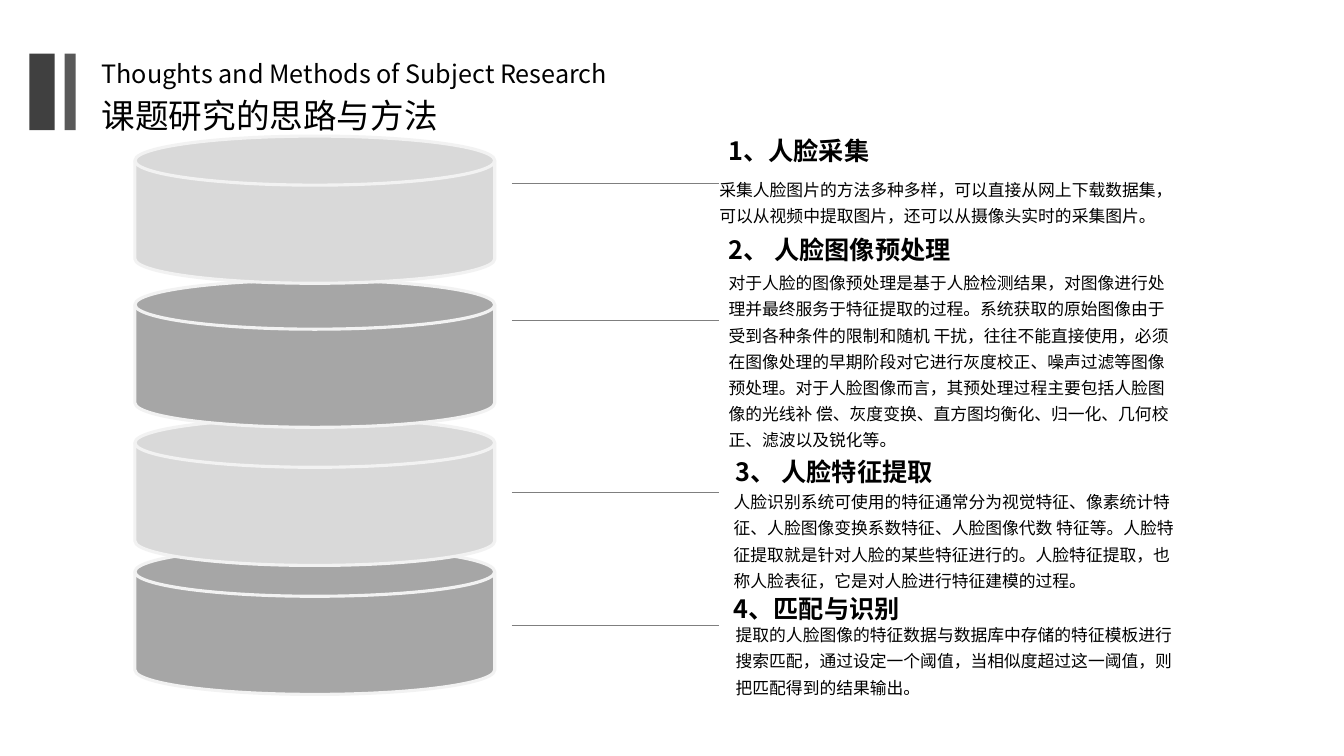
from dataclasses import dataclass

from lxml.etree import SubElement
from pptx import Presentation
from pptx.dml.color import RGBColor
from pptx.enum.shapes import MSO_CONNECTOR, MSO_SHAPE
from pptx.enum.text import MSO_ANCHOR, MSO_AUTO_SIZE, PP_ALIGN
from pptx.oxml.ns import qn
from pptx.shapes.autoshape import Shape
from pptx.slide import Slide
from pptx.util import Cm, Pt

CJK_FONT = "Noto Sans CJK SC"
BLACK = "000000"
DISK_LEFT, DISK_WIDTH, DISK_HEIGHT = 3.4, 9.07, 3.71
LINE_START, LINE_END = 12.9, 18.11
HEADING_HEIGHT, BODY_WIDTH = 1.8, 11.91


@dataclass(frozen=True)
class Box:
    left: float
    top: float
    width: float
    height: float


@dataclass(frozen=True)
class Step:
    heading: str
    heading_box: Box
    body: str
    body_box: Box
    disk_top: float
    disk_fill: str
    line_top: float
    body_font: str = CJK_FONT


STEPS = [
    Step(
        "1、人脸采集",
        Box(18.11, 3.28, 7.06, HEADING_HEIGHT),
        "采集人脸图片的方法多种多样，可以直接从网上下载数据集，可以从视频中提取图片，"
        "还可以从摄像头实时的采集图片。",
        Box(17.88, 4.24, BODY_WIDTH, 1.57),
        3.43, "D9D9D9", 4.62,
    ),
    Step(
        "2、 人脸图像预处理",
        Box(18.11, 5.79, 8.56, HEADING_HEIGHT),
        "对于人脸的图像预处理是基于人脸检测结果，对图像进行处理并最终服务于特征提取的过程。"
        "系统获取的原始图像由于受到各种条件的限制和随机 干扰，往往不能直接使用，"
        "必须在图像处理的早期阶段对它进行灰度校正、噪声过滤等图像预处理。"
        "对于人脸图像而言，其预处理过程主要包括人脸图像的光线补 偿、灰度变换、"
        "直方图均衡化、归一化、几何校正、滤波以及锐化等。",
        Box(18.11, 6.6, BODY_WIDTH, 6.25),
        7.06, "A6A6A6", 8.08, "Arial",
    ),
    Step(
        "3、 人脸特征提取",
        Box(18.29, 11.38, 9.58, HEADING_HEIGHT),
        "人脸识别系统可使用的特征通常分为视觉特征、像素统计特征、人脸图像变换系数特征、"
        "人脸图像代数 特征等。人脸特征提取就是针对人脸的某些特征进行的。"
        "人脸特征提取，也称人脸表征，它是对人脸进行特征建模的过程。",
        Box(18.24, 12.12, BODY_WIDTH, 2.92),
        10.54, "D9D9D9", 12.4,
    ),
    Step(
        "4、匹配与识别",
        Box(18.24, 14.83, 10.36, HEADING_HEIGHT),
        "提取的人脸图像的特征数据与数据库中存储的特征模板进行搜索匹配，"
        "通过设定一个阈值，当相似度超过这一阈值，则把匹配得到的结果输出。",
        Box(18.29, 15.47, BODY_WIDTH, 2.26),
        13.79, "A6A6A6", 15.77,
    ),
]


def color(value: str) -> RGBColor:
    return RGBColor.from_string(value)


def lengths(box: Box) -> tuple[Cm, Cm, Cm, Cm]:
    return Cm(box.left), Cm(box.top), Cm(box.width), Cm(box.height)


def write_text(shape: Shape, text: str, *, size: float, font: str = CJK_FONT,
               bold: bool = False, line_spacing: float = 1.0) -> None:
    frame = shape.text_frame
    frame.word_wrap = True
    frame.auto_size = MSO_AUTO_SIZE.SHAPE_TO_FIT_TEXT
    frame.vertical_anchor = MSO_ANCHOR.TOP
    paragraph = frame.paragraphs[0]
    paragraph.alignment = PP_ALIGN.LEFT
    paragraph.line_spacing = line_spacing
    run = paragraph.add_run()
    run.text = text
    run.font.name = font
    run.font.size = Pt(size)
    run.font.bold = bold
    run.font.color.rgb = color(BLACK)
    SubElement(run.font._element, qn("a:ea")).set("typeface", CJK_FONT)


def add_text(slide: Slide, box: Box, text: str, **text_format) -> None:
    write_text(slide.shapes.add_textbox(*lengths(box)), text, **text_format)


def add_filled(slide: Slide, kind: MSO_SHAPE, box: Box, fill: str,
               outline: str | None = None) -> None:
    shape = slide.shapes.add_shape(kind, *lengths(box))
    shape.shadow.inherit = False
    shape.fill.solid()
    shape.fill.fore_color.rgb = color(fill)
    if outline:
        shape.line.color.rgb = color(outline)
        shape.line.width = Pt(2.25)
    else:
        shape.line.fill.background()


def add_rule(slide: Slide, top: float) -> None:
    rule = slide.shapes.add_connector(
        MSO_CONNECTOR.STRAIGHT, Cm(LINE_START), Cm(top), Cm(LINE_END), Cm(top))
    rule.line.color.rgb = color("7F7F7F")
    rule.line.width = Pt(0.5)
    SubElement(rule._element.spPr, qn("a:effectLst"))


def add_header(slide: Slide) -> None:
    add_filled(slide, MSO_SHAPE.RECTANGLE, Box(0.74, 1.35, 0.64, 1.93), "404040")
    add_filled(slide, MSO_SHAPE.RECTANGLE, Box(1.63, 1.35, 0.28, 1.93), "595959")
    title = slide.shapes.title
    title.left, title.top, title.width, title.height = lengths(Box(2.31, 2.26, 9.1, 1.27))
    write_text(title, "课题研究的思路与方法", size=24)
    add_text(slide, Box(2.31, 1.35, 17.12, 1.02),
             "Thoughts and Methods of Subject Research", size=18)


def main() -> None:
    presentation = Presentation()
    presentation.slide_width = Cm(33.87)
    presentation.slide_height = Cm(19.05)
    slide = presentation.slides.add_slide(presentation.slide_layouts[5])
    add_header(slide)
    for step in reversed(STEPS):
        disk_box = Box(DISK_LEFT, step.disk_top, DISK_WIDTH, DISK_HEIGHT)
        add_filled(slide, MSO_SHAPE.FLOWCHART_MAGNETIC_DISK, disk_box,
                   step.disk_fill, "F2F2F2")
    for step in STEPS:
        add_rule(slide, step.line_top)
        add_text(slide, step.heading_box, step.heading, size=18, bold=True)
        add_text(slide, step.body_box, step.body, size=12,
                 font=step.body_font, line_spacing=1.3)
    presentation.save("out.pptx")


if __name__ == "__main__":
    main()
